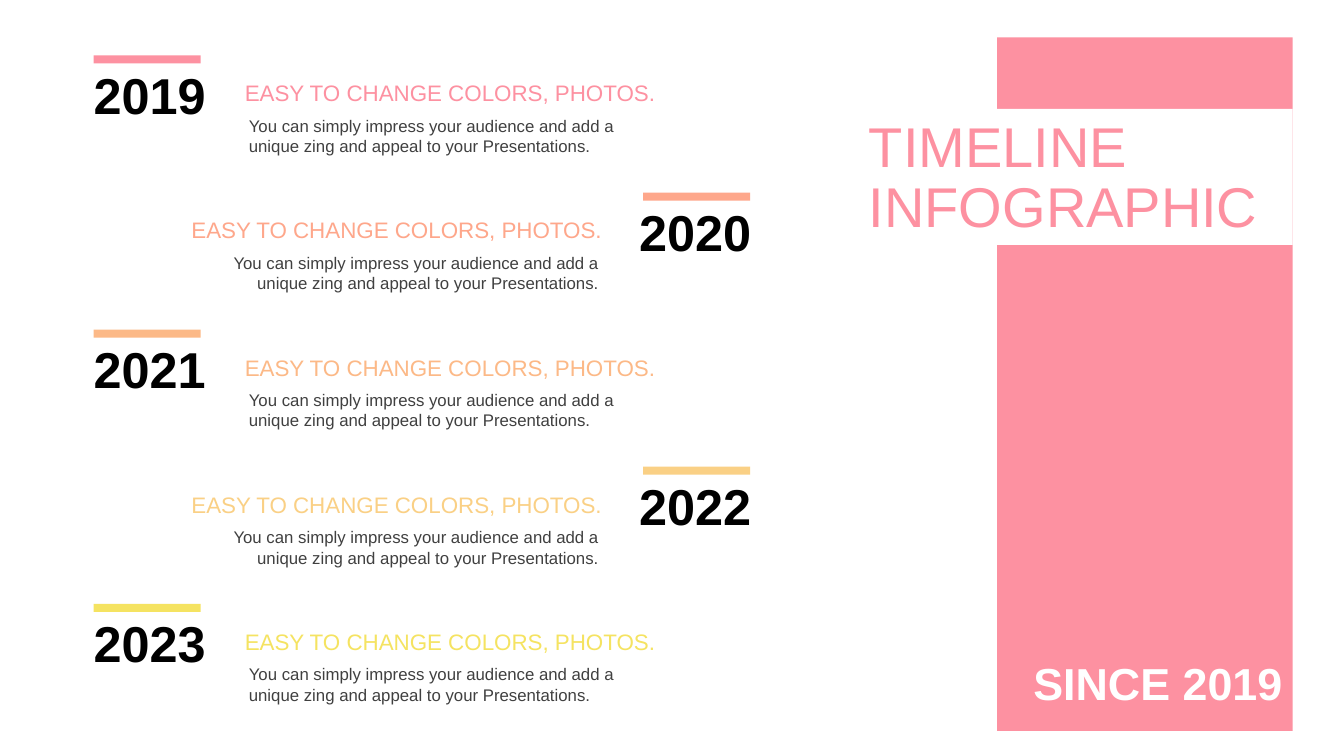
from pptx import Presentation
from pptx.dml.color import RGBColor
from pptx.enum.shapes import MSO_SHAPE
from pptx.enum.text import MSO_ANCHOR, MSO_AUTO_SIZE, PP_ALIGN
from pptx.util import Emu, Pt

RECT = MSO_SHAPE.RECTANGLE
TOP, MIDDLE = MSO_ANCHOR.TOP, MSO_ANCHOR.MIDDLE
GROW = MSO_AUTO_SIZE.SHAPE_TO_FIT_TEXT
LEFT, CENTER, RIGHT = PP_ALIGN.LEFT, PP_ALIGN.CENTER, PP_ALIGN.RIGHT
JUSTIFY = PP_ALIGN.JUSTIFY

PX = 9144  # 100 px to the inch
PINK, WHITE, BLACK, GREY = "FD91A1", "FFFFFF", "000000", "404040"
HEADING = "EASY TO CHANGE COLORS, PHOTOS."
BODY = ("You can simply impress your audience and add a "
        "unique zing and appeal to your Presentations.")
YEARS = [("2019", PINK), ("2020", "FEA78B"), ("2021", "FCB987"),
         ("2022", "FAD085"), ("2023", "F5E361")]
FIRST_ROW, ROW_STEP = 55, 136


def px(n):
    return Emu(n * PX)


def color(value):
    return RGBColor.from_string(value)


def write(tf, text, size=12, fill=GREY, bold=False, align=LEFT,
          anchor=TOP, spacing=None):
    tf.word_wrap = True
    tf.vertical_anchor = anchor
    p = tf.paragraphs[0]
    p.alignment = align
    if spacing:
        p.line_spacing = spacing
    r = p.add_run()
    r.text = text
    r.font.name = "Arial"
    r.font.size = Pt(size)
    r.font.bold = bold
    r.font.color.rgb = color(fill)


class Deck:
    def __init__(self, width, height):
        self.prs = Presentation()
        self.prs.slide_width, self.prs.slide_height = px(width), px(height)
        self.s = self.prs.slides.add_slide(self.prs.slide_layouts[6])

    def rect(self, x, y, w, h, fill):
        sp = self.s.shapes.add_shape(RECT, px(x), px(y), px(w), px(h))
        sp.shadow.inherit = False
        sp.fill.solid()
        sp.fill.fore_color.rgb = color(fill)
        sp.line.fill.background()
        return sp

    def text(self, x, y, w, h, text, **style):
        sp = self.s.shapes.add_textbox(px(x), px(y), px(w), px(h))
        write(sp.text_frame, text, **style)
        sp.text_frame.auto_size = GROW

    def title(self, x, y, w, h, text):
        tf = self.rect(x, y, w, h, WHITE).text_frame
        tf.margin_left = tf.margin_right = tf.margin_top = px(10)
        tf.margin_bottom = px(5)
        write(tf, text, size=40, fill=PINK, align=JUSTIFY, anchor=MIDDLE,
              spacing=0.9)

    def entry(self, y, year, accent, on_right):
        if on_right:
            year_x, bar_x, head_x, body_x, align = 607, 638, 177, 180, RIGHT
        else:
            year_x, bar_x, head_x, body_x, align = 66, 93, 233, 237, LEFT
        self.text(year_x, y + 3, 165, 71, year, size=36, fill=BLACK,
                  bold=True, align=CENTER, anchor=MIDDLE)
        self.rect(bar_x, y, 106, 8, accent)
        self.text(body_x, y + 55, 424, 50, BODY, align=align)
        self.text(head_x, y + 19, 430, 37, HEADING, size=16, fill=accent,
                  align=align)


def main():
    deck = Deck(1333, 750)

    # Side panel with title and footer
    deck.rect(989, 37, 293, 688, PINK)
    deck.title(852, 108, 430, 135, "TIMELINE INFOGRAPHIC")
    deck.text(1004, 646, 278, 64, "SINCE 2019", size=32, fill=WHITE,
              bold=True, align=RIGHT)

    # Timeline entries, alternating sides
    for i, (year, accent) in enumerate(YEARS):
        deck.entry(FIRST_ROW + i * ROW_STEP, year, accent, i % 2 == 1)

    deck.prs.save("out.pptx")


if __name__ == "__main__":
    main()
